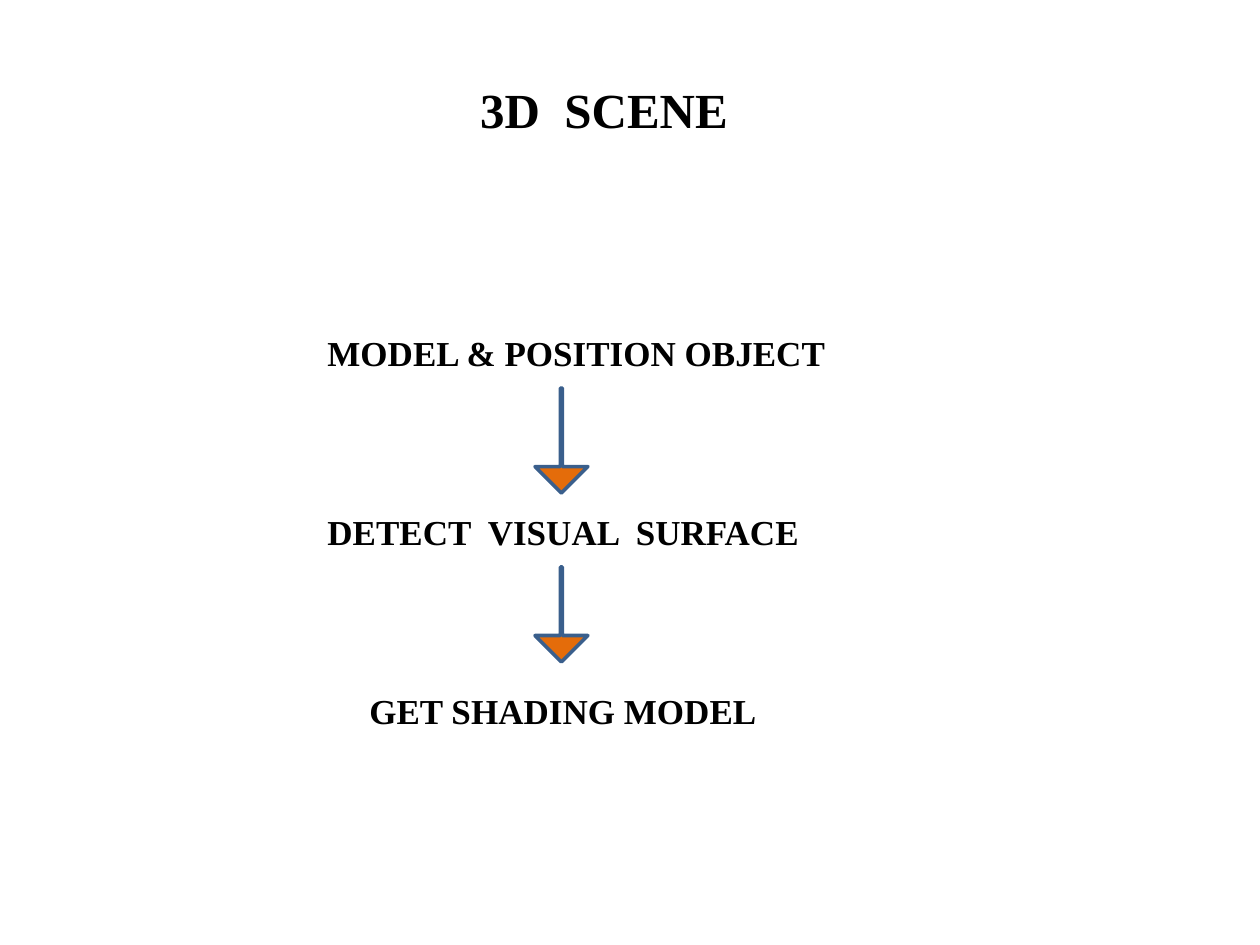
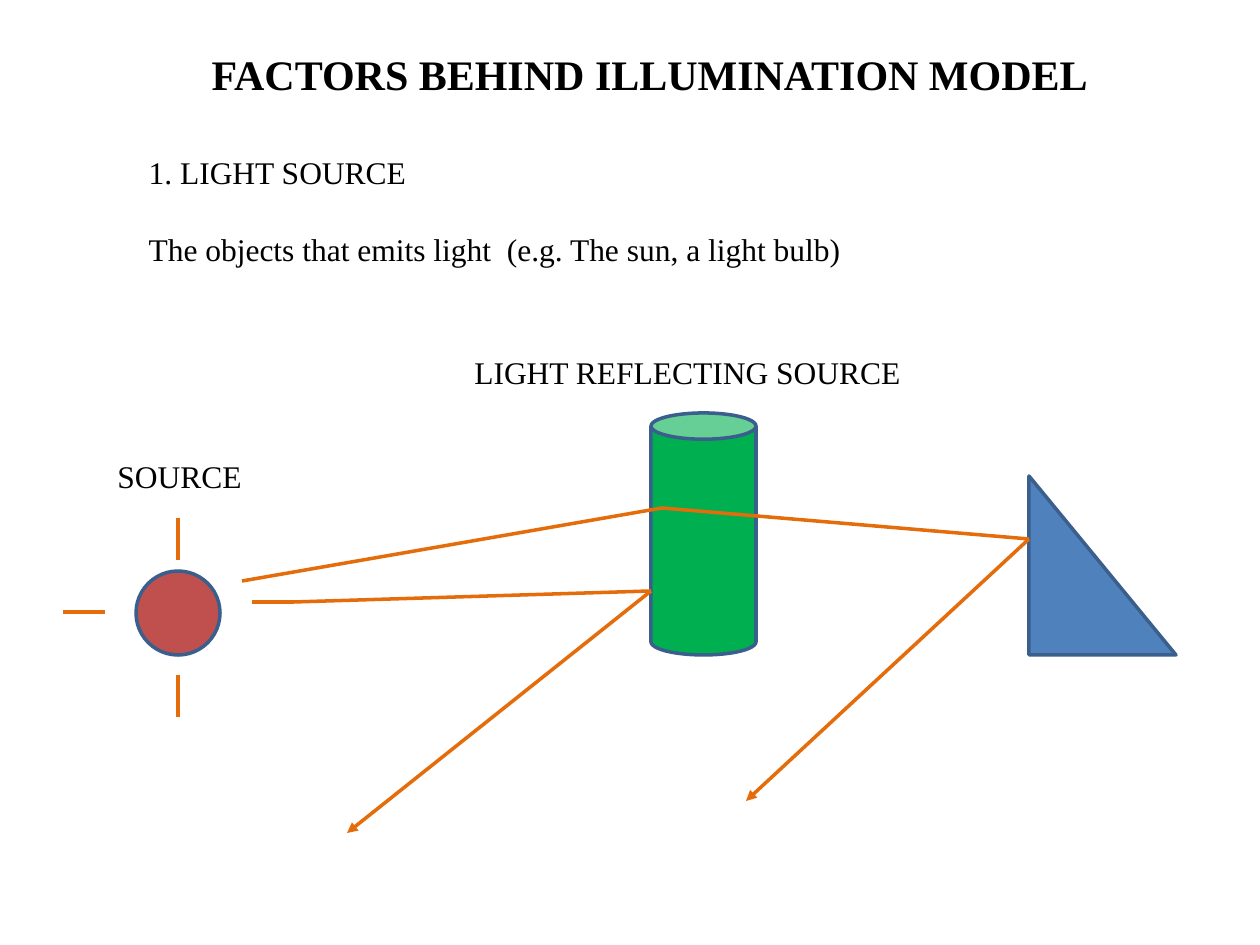
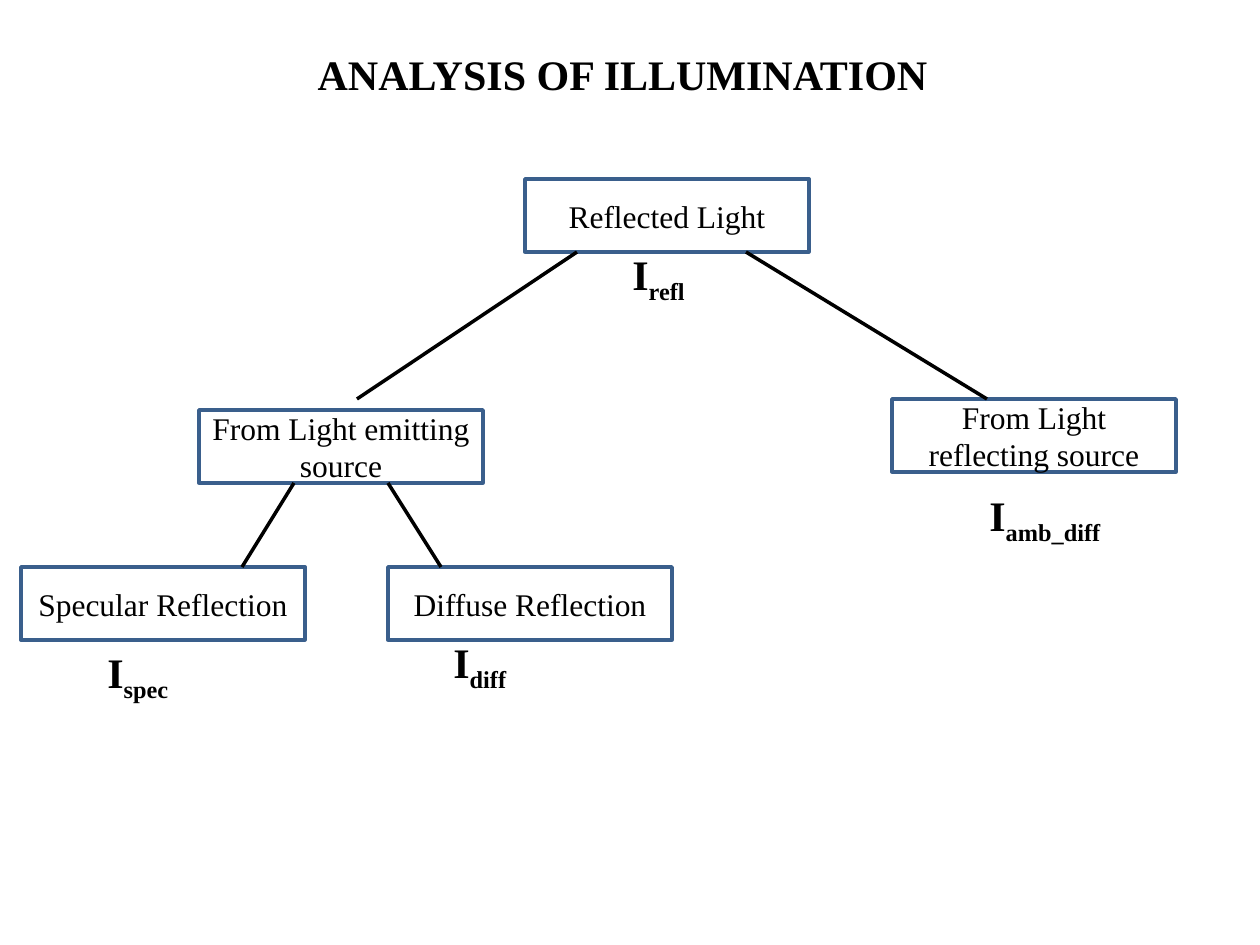
from itertools import pairwise

from pptx import Presentation
from pptx.dml.color import RGBColor
from pptx.enum.shapes import MSO_CONNECTOR, MSO_SHAPE as Shape
from pptx.enum.text import MSO_ANCHOR as Anchor, MSO_AUTO_SIZE as AutoSize, PP_ALIGN as Align
from pptx.oxml.ns import qn
from pptx.util import Emu, Pt
from lxml.etree import SubElement

# Shared style
PX_PER_INCH = 126
FONT = "Times New Roman"
BLACK = RGBColor(0x00, 0x00, 0x00)
WHITE = RGBColor(0xFF, 0xFF, 0xFF)
OUTLINE = RGBColor(0x3A, 0x5F, 0x8C)
ORANGE = RGBColor(0xE4, 0x6C, 0x0A)
RED = RGBColor(0xC0, 0x50, 0x4D)
GREEN = RGBColor(0x00, 0xB0, 0x50)
BLUE = RGBColor(0x4F, 0x81, 0xBD)
LINE_WIDTH = Pt(2)
TITLE_LAYOUT, LIST_LAYOUT = 5, 1


def px(length):
    return Emu(round(length * 914400 / PX_PER_INCH))


def add_run(paragraph, text, size, bold=False, subscript=False):
    run = paragraph.add_run()
    run.text = text
    run.font.name = FONT
    run.font.size = Pt(size)
    run.font.bold = bold
    run.font.color.rgb = BLACK
    if subscript:
        run._r.get_or_add_rPr().set("baseline", "-25000")


def place(placeholder, left, top, width, height):
    placeholder.left, placeholder.top = px(left), px(top)
    placeholder.width, placeholder.height = px(width), px(height)
    frame = placeholder.text_frame
    frame.word_wrap = True
    frame.auto_size = AutoSize.SHAPE_TO_FIT_TEXT
    frame.vertical_anchor = Anchor.TOP
    return frame


def new_slide(deck, layout, title, bounds, size=24, align=Align.LEFT):
    slide = deck.slides.add_slide(deck.slide_layouts[layout])
    heading = place(slide.shapes.title, *bounds).paragraphs[0]
    heading.alignment = align
    add_run(heading, title, size, bold=True)
    return slide


def add_list(slide, items, bounds, gap):
    frame = place(slide.placeholders[1], *bounds)
    for number, item in enumerate(items):
        paragraph = frame.add_paragraph() if number else frame.paragraphs[0]
        paragraph.space_before = Pt(gap if number else 0)
        properties = paragraph._p.get_or_add_pPr()
        properties.set("marL", "0")
        properties.set("indent", "0")
        SubElement(properties, qn("a:buNone"))
        add_run(paragraph, item, 18)


def add_label(slide, text, left, top, width, height, size=18, bold=False, subscript=""):
    label = slide.shapes.add_textbox(px(left), px(top), px(width), px(height))
    label.text_frame.word_wrap = True
    label.text_frame.auto_size = AutoSize.SHAPE_TO_FIT_TEXT
    paragraph = label.text_frame.paragraphs[0]
    add_run(paragraph, text, size, bold)
    if subscript:
        add_run(paragraph, subscript, size, bold, subscript=True)


def add_figure(slide, kind, fill, left, top, width, height):
    figure = slide.shapes.add_shape(kind, px(left), px(top), px(width), px(height))
    figure.shadow.inherit = False
    figure.fill.solid()
    figure.fill.fore_color.rgb = fill
    figure.line.color.rgb = OUTLINE
    figure.line.width = LINE_WIDTH
    return figure


def add_box(slide, text, left, top):
    box = add_figure(slide, Shape.RECTANGLE, WHITE, left, top, 284, 73)
    box.text_frame.word_wrap = True
    box.text_frame.vertical_anchor = Anchor.MIDDLE
    paragraph = box.text_frame.paragraphs[0]
    paragraph.alignment = Align.CENTER
    add_run(paragraph, text, 18)


def add_line(slide, start, end, color, arrow=False):
    line = slide.shapes.add_connector(
        MSO_CONNECTOR.STRAIGHT, *map(px, start), *map(px, end))
    line.line.color.rgb = color
    line.line.width = LINE_WIDTH
    if arrow:
        SubElement(line.line._get_or_add_ln(), qn("a:tailEnd"), type="triangle")
    SubElement(line._element.spPr, qn("a:effectLst"))


def add_ray(slide, points):
    for start, end in pairwise(points):
        add_line(slide, start, end, ORANGE, arrow=end == points[-1])


def build_scene(deck):
    slide = new_slide(deck, TITLE_LAYOUT, "3D  SCENE", (336, 73, 536, 72), 28, Align.CENTER)
    first_step, pitch = 325, 179
    steps = [
        ("MODEL & POSITION OBJECT", 315, 714),
        ("DETECT  VISUAL  SURFACE", 315, 714),
        ("GET SHADING MODEL", 357, 514),
    ]
    for row, (step, left, width) in enumerate(steps):
        add_label(slide, step, left, first_step + row * pitch, width, 55, 20, bold=True)
    # Arrows between the steps
    for row, height in enumerate((105, 95)):
        arrow = add_figure(slide, Shape.DOWN_ARROW, ORANGE,
                           535, first_step + 63 + row * pitch, 53, height)
        arrow.adjustments[0] = 0.04
        arrow.adjustments[1] = 0.5


def build_factors(deck):
    slide = new_slide(deck, LIST_LAYOUT, "FACTORS BEHIND ILLUMINATION MODEL", (199, 42, 935, 63))
    add_list(slide, ["1. LIGHT SOURCE",
                     "The objects that emits light  (e.g. The sun, a light bulb)"],
             (136, 147, 840, 127), gap=22)

    # Light source with its short beams
    add_label(slide, "SOURCE", 105, 451, 168, 53)
    add_figure(slide, Shape.OVAL, RED, 136, 571, 84, 84)
    beams = [((178, 518), (178, 560)), ((178, 675), (178, 717)),
             ((105, 612), (63, 612)), ((252, 602), (294, 602))]
    for start, end in beams:
        add_line(slide, start, end, ORANGE)

    # Reflecting objects and the rays they send on
    add_label(slide, "LIGHT REFLECTING SOURCE", 462, 347, 504, 50)
    add_figure(slide, Shape.CAN, GREEN, 651, 413, 105, 242)
    add_figure(slide, Shape.RIGHT_TRIANGLE, BLUE, 1029, 476, 147, 179)
    add_ray(slide, [(242, 581), (662, 508), (1029, 539), (746, 801)])
    add_ray(slide, [(294, 602), (651, 591), (347, 833)])


def build_analysis(deck):
    slide = new_slide(deck, TITLE_LAYOUT, "ANALYSIS OF ILLUMINATION", (305, 42, 714, 63))
    # Kinds of light
    boxes = [
        ("Reflected Light", 525, 179),
        ("From Light emitting source", 199, 410),
        ("Specular Reflection", 21, 567),
        ("From Light reflecting source", 892, 399),
        ("Diffuse Reflection", 388, 567),
    ]
    for light, left, top in boxes:
        add_box(slide, light, left, top)
    # Intensity symbols
    intensities = [("refl", 620, 242, 126), ("spec", 95, 640, 126),
                   ("diff", 441, 630, 126), ("amb_diff", 977, 483, 168)]
    for index, left, top, width in intensities:
        add_label(slide, "I", left, top, width, 63, 24, bold=True, subscript=index)
    # Branches of the tree
    branches = [((294, 483), (242, 567)), ((388, 483), (441, 567)),
                ((746, 252), (987, 399)), ((577, 252), (357, 399))]
    for start, end in branches:
        add_line(slide, start, end, BLACK)


def main():
    deck = Presentation()
    deck.slide_width, deck.slide_height = px(1260), px(945)
    build_scene(deck)
    build_factors(deck)
    build_analysis(deck)
    deck.save("out.pptx")


if __name__ == "__main__":
    main()
